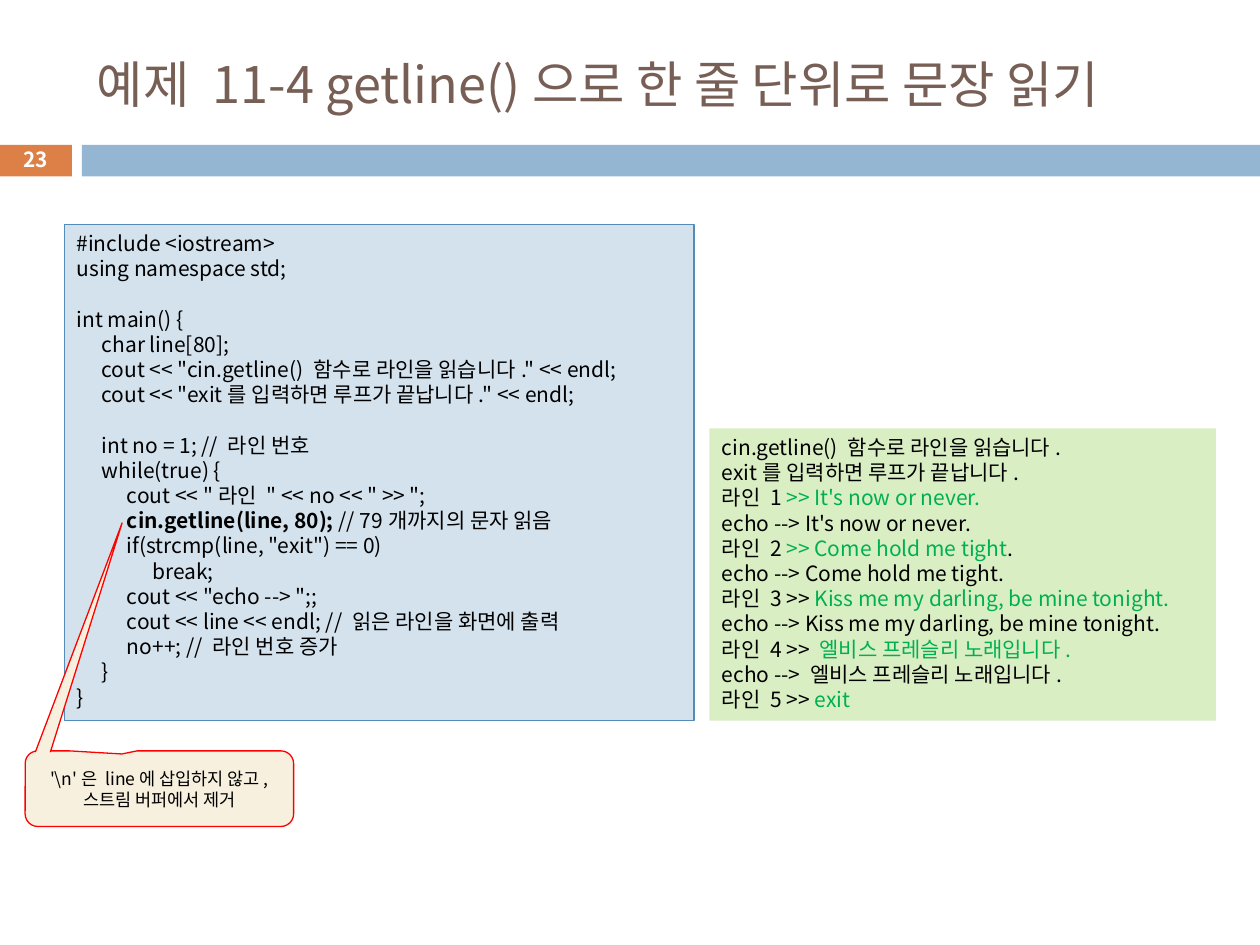
from dataclasses import dataclass

from pptx import Presentation
from pptx.dml.color import RGBColor
from pptx.enum.shapes import MSO_SHAPE
from pptx.enum.text import MSO_ANCHOR, PP_ALIGN
from pptx.util import Pt

RECT = MSO_SHAPE.RECTANGLE
CALLOUT = MSO_SHAPE.ROUNDED_RECTANGULAR_CALLOUT
TOP, MIDDLE = MSO_ANCHOR.TOP, MSO_ANCHOR.MIDDLE
LEFT, CENTER = PP_ALIGN.LEFT, PP_ALIGN.CENTER


@dataclass(frozen=True)
class Theme:
    font: str = "Noto Sans CJK KR"
    title: str = "775F55"
    accent: str = "DD8047"
    bar: str = "94B6D2"
    code_fill: str = "D4E2ED"
    code_line: str = "558BB8"
    output_fill: str = "DAEEC4"
    note_fill: str = "F7F0DE"
    note_line: str = "FF0000"
    text: str = "000000"
    typed: str = "00B050"
    white: str = "FFFFFF"
    title_size: float = 28.8
    number_size: float = 11.9
    body_size: float = 12
    note_size: float = 10
    leading: float = 1.2
    indent: float = 14.4
    line_width: float = 0.75


@dataclass
class Row:
    runs: list
    level: int = 0
    gap: bool = False


class SlideBuilder:
    def __init__(self, slide, theme):
        self.slide = slide
        self.theme = theme

    def paint(self, s, fill, line=None):
        s.shadow.inherit = False
        s.fill.solid()
        s.fill.fore_color.rgb = RGBColor.from_string(fill)
        if line:
            s.line.color.rgb = RGBColor.from_string(line)
            s.line.width = Pt(self.theme.line_width)
        else:
            s.line.fill.background()

    def shape(self, kind, box, fill, line=None):
        s = self.slide.shapes.add_shape(kind, *map(Pt, box))
        self.paint(s, fill, line)
        return s

    def label(self, box, text, size, color, align=LEFT, bold=False):
        tb = self.slide.shapes.add_textbox(*map(Pt, box))
        self.fill_text(tb, [Row([(text, color, bold)])], size, align, MIDDLE)

    def fill_text(self, s, rows, size, align=LEFT, anchor=TOP):
        t = self.theme
        tf = s.text_frame
        tf.word_wrap = True
        tf.vertical_anchor = anchor
        pitch = Pt(size * t.leading)
        for i, row in enumerate(rows):
            p = tf.add_paragraph() if i else tf.paragraphs[0]
            p.alignment = align
            p.line_spacing = pitch
            p.space_before = pitch if row.gap else Pt(0)
            if row.level:
                p._p.get_or_add_pPr().set("marL", str(Pt(row.level * t.indent)))
            for text, color, bold in row.runs:
                r = p.add_run()
                r.text = text
                r.font.name = t.font
                r.font.size = Pt(size)
                r.font.bold = bold
                r.font.color.rgb = RGBColor.from_string(color)

    def panel(self, box, rows, fill, line=None):
        s = self.shape(RECT, box, fill, line)
        self.fill_text(s, rows, self.theme.body_size)

    def callout(self, box, adjustments, text):
        t = self.theme
        s = self.shape(CALLOUT, box, t.note_fill, t.note_line)
        for i, value in enumerate(adjustments):
            s.adjustments[i] = value
        self.fill_text(s, [Row([(text, t.text, False)])], t.note_size, CENTER, MIDDLE)

    def pointer(self, start, *points):
        fb = self.slide.shapes.build_freeform(*map(Pt, start))
        fb.add_line_segments([(Pt(x), Pt(y)) for x, y in points], close=False)
        self.paint(fb.convert_to_shape(), self.theme.note_fill, self.theme.note_line)


def code_row(text, level=0, gap=False):
    return Row([(text, Theme.text, False)], level, gap)


def output_row(prompt, typed="", tail=""):
    parts = [(prompt, Theme.text), (typed, Theme.typed), (tail, Theme.text)]
    return Row([(text, color, False) for text, color in parts if text])


CODE = [
    code_row("#include <iostream>"),
    code_row("using namespace std;"),
    code_row("int main() {", gap=True),
    code_row("char line[80];", 1),
    code_row('cout << "cin.getline() 함수로 라인을 읽습니다." << endl;', 1),
    code_row('cout << "exit를 입력하면 루프가 끝납니다." << endl;', 1),
    code_row("int no = 1; // 라인 번호", 1, gap=True),
    code_row("while(true) {", 1),
    code_row('cout << "라인 " << no << " >> ";', 2),
    Row([("cin.getline(line, 80);", Theme.text, True),
         (" // 79개까지의 문자 읽음", Theme.text, False)], 2),
    code_row('if(strcmp(line, "exit") == 0)', 2),
    code_row("break;", 3),
    code_row('cout << "echo --> ";;', 2),
    code_row("cout << line << endl; // 읽은 라인을 화면에 출력", 2),
    code_row("no++; // 라인 번호 증가", 2),
    code_row("}", 1),
    code_row("}"),
]

OUTPUT = [
    output_row("cin.getline() 함수로 라인을 읽습니다."),
    output_row("exit를 입력하면 루프가 끝납니다."),
    output_row("라인 1 ", ">> It's now or never."),
    output_row("echo --> It's now or never."),
    output_row("라인 2 ", ">> Come hold me tight", "."),
    output_row("echo --> Come hold me tight."),
    output_row("라인 3 >> ", "Kiss me my darling, be mine tonight."),
    output_row("echo --> Kiss me my darling, be mine tonight."),
    output_row("라인 4 >> ", "엘비스 프레슬리 노래입니다."),
    output_row("echo --> 엘비스 프레슬리 노래입니다."),
    output_row("라인 5 >> ", "exit"),
]


def main():
    t = Theme()
    prs = Presentation()
    prs.slide_width, prs.slide_height = Pt(720), Pt(540)
    b = SlideBuilder(prs.slides.add_slide(prs.slide_layouts[6]), t)

    b.shape(RECT, (-0.7, 82.8, 41.8, 18), t.accent)
    b.shape(RECT, (46.8, 82.8, 673.2, 18), t.bar)
    b.label((48.2, 18, 642.2, 59), "예제 11-4 getline()으로 한 줄 단위로 문장 읽기",
            t.title_size, t.title)
    b.label((-0.7, 81.4, 41.8, 19.4), "23", t.number_size, t.white, CENTER, True)

    b.panel((405.4, 244.8, 289.4, 167), OUTPUT, t.output_fill)
    b.panel((36.7, 128.2, 360, 283.7), CODE, t.code_fill, t.code_line)
    b.callout((14.4, 429.1, 153.4, 43.2), (-0.14, -0.459, 0.167),
              "'\\n'은 line에 삽입하지 않고, 스트림 버퍼에서 제거")
    b.pointer((20.2, 429.8), (69.8, 298.8), (28.8, 429.8))

    prs.save("out.pptx")


if __name__ == "__main__":
    main()
